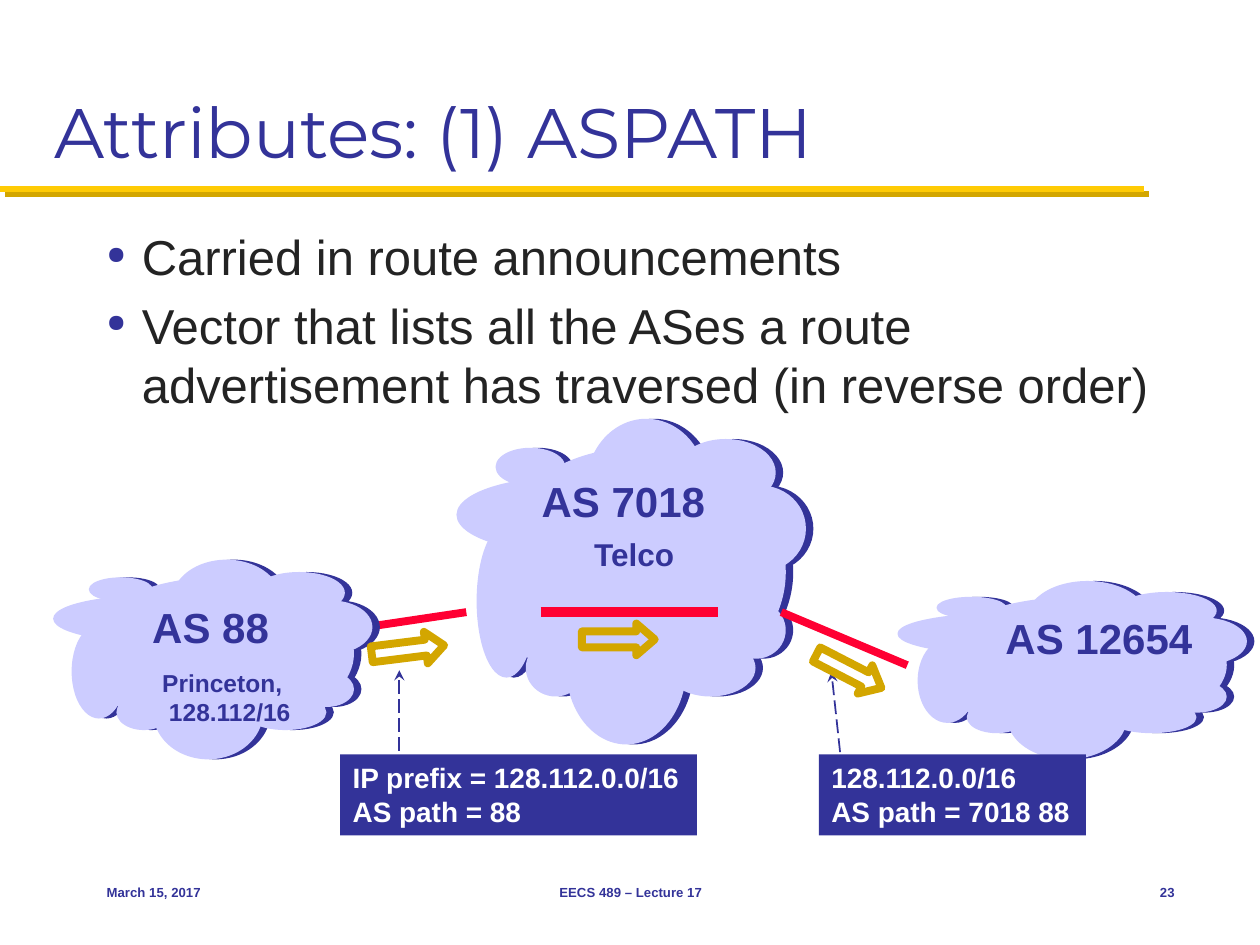
"""Build the slide on the ASPATH route attribute."""
from dataclasses import dataclass

from lxml.etree import SubElement
from pptx import Presentation
from pptx.dml.color import RGBColor
from pptx.enum.dml import MSO_LINE
from pptx.enum.shapes import MSO_CONNECTOR, MSO_SHAPE
from pptx.enum.text import MSO_ANCHOR, PP_ALIGN
from pptx.oxml.ns import qn
from pptx.util import Cm, Pt


@dataclass(frozen=True)
class Theme:
    """Colours, fonts and type sizes."""
    navy: str = "333399"
    lilac: str = "CCCCFF"
    gold: str = "FFCB05"
    ochre: str = "D3A600"
    red: str = "FF0033"
    ink: str = "232323"
    white: str = "FFFFFF"
    head: str = "Montserrat"
    sans: str = "Arial"
    title: float = 40
    body: float = 28
    name: float = 24
    owner: float = 18
    note: float = 16
    site: float = 14
    foot: float = 7.5


T = Theme()

TITLE = "Attributes: (1) ASPATH"
POINTS = [
    "Carried in route announcements",
    "Vector that lists all the ASes a route advertisement has traversed (in reverse order)",
]
GRID = (276, 257)
LOBES = [
    (24, 23, 236, 196), (31, 23, 54, 29), (174, 16, 78, 52), (103, 0, 94, 105),
    (0, 46, 173, 59), (87, 137, 94, 120), (206, 53, 70, 67), (16, 84, 46, 120),
    (214, 145, 46, 44), (55, 175, 46, 44), (166, 175, 70, 44),
]
SHADE = 0.15
MAIN = (9.22, 8.46, 7.01, 6.53)
SIDES = [(18.11, 11.73, 7.01, 3.56), (1.09, 11.3, 6.4, 3.99)]
WIRES = [
    ((15.75, 12.34), (18.29, 13.41), 4.5),
    ((6.45, 12.78), (9.4, 12.34), 4.5),
    ((10.9, 12.34), (14.48, 12.34), 6),
]
LABELS = [
    ("AS 7018", (10.67, 9.47, 3.84, 1.3), T.name),
    ("Telco", (11.73, 10.67, 2.39, 1.02), T.owner),
    ("AS 12654", (20.02, 12.22, 4.32, 1.3), T.name),
    ("AS 88", (2.82, 12.01, 2.87, 1.3), T.name),
    ("Princeton,\n 128.112/16", (3.02, 13.34, 3.12, 1.45), T.site),
]
NOTES = [
    (["128.112.0.0/16", "AS path = 7018 88"], (16.51, 15.21, 5.38, 1.63)),
    (["IP prefix = 128.112.0.0/16", "AS path = 88"], (6.86, 15.21, 7.19, 1.63)),
]
HINTS = [((16.76, 13.54), (16.94, 15.21)), ((8.05, 13.51), (8.05, 15.21))]
ARROWS = [(7.49, 12.78, -7.1), (11.73, 12.57, 0), (16.38, 13.21, 27.3)]
FOOTS = [
    ("March 15, 2017", (1.9, 17.35, 5.28, 1.27), PP_ALIGN.LEFT),
    ("EECS 489 – Lecture 17", (8.69, 17.35, 8.05, 1.27), PP_ALIGN.CENTER),
    ("23", (22.23, 17.35, 1.7, 1.27), PP_ALIGN.RIGHT),
]


def rgb(tint):
    """Turn a hex string into a colour."""
    return RGBColor.from_string(tint)


def span(box):
    """Turn centimetres into lengths."""
    return [Cm(n) for n in box]


def write(para, text, size, tint, font=T.sans, bold=False):
    """Add text to a paragraph, one run a line."""
    for i, part in enumerate(text.split("\n")):
        if i:
            para.add_line_break()
        run = para.add_run()
        run.text = part
        run.font.name, run.font.size, run.font.bold = font, Pt(size), bold
        run.font.color.rgb = rgb(tint)


def frame(shapes, box, wrap=False, anchor=MSO_ANCHOR.TOP):
    """Add a text box and return its text frame."""
    text = shapes.add_textbox(*span(box)).text_frame
    text.word_wrap, text.vertical_anchor = wrap, anchor
    return text


def solid(shapes, kind, box, tint, edge=False):
    """Add a filled shape, with an edge of the same colour if asked."""
    shape = shapes.add_shape(kind, *span(box))
    shape.shadow.inherit = False
    shape.fill.solid()
    shape.fill.fore_color.rgb = rgb(tint)
    if edge:
        shape.line.color.rgb, shape.line.width = rgb(tint), Pt(1)
    else:
        shape.line.fill.background()
    return shape


def link(shapes, start, end, tint, width):
    """Add a straight line and return it with its effect list."""
    line = shapes.add_connector(MSO_CONNECTOR.STRAIGHT, *span(start + end))
    line.line.color.rgb, line.line.width = rgb(tint), Pt(width)
    return line, SubElement(line._element.spPr, qn("a:effectLst"))


def cloud(shapes, box):
    """Add a cloud of ellipses over its own shade."""
    left, top, wide, high = box
    group = shapes.add_group_shape().shapes
    sx, sy = wide / GRID[0], high / GRID[1]
    for shift, tint in ((SHADE, T.navy), (0, T.lilac)):
        for x, y, w, h in LOBES:
            lobe = (left + shift + x * sx, top + y * sy, w * sx, h * sy)
            solid(group, MSO_SHAPE.OVAL, lobe, tint, edge=True)


def bullet(para):
    """Give a paragraph a small round bullet."""
    props = para._p.get_or_add_pPr()
    props.set("marL", str(Cm(0.71)))
    props.set("indent", str(-Cm(0.71)))
    SubElement(SubElement(props, qn("a:buClr")), qn("a:srgbClr"), val=T.navy)
    SubElement(props, qn("a:buSzPct"), val="50000")
    SubElement(props, qn("a:buChar"), char="●")


def header(shapes):
    """Add the rule, the title and the points."""
    glow = link(shapes, (0, 3.81), (23.06, 3.81), T.gold, 3.5)[1]
    drop = SubElement(glow, qn("a:outerShdw"), dist=str(Pt(4.2)), dir="2700000")
    SubElement(drop, qn("a:srgbClr"), val=T.ochre)
    text = frame(shapes, (0.84, 0.43, 23.7, 3.18), True, MSO_ANCHOR.BOTTOM)
    write(text.paragraphs[0], TITLE, T.title, T.navy, T.head)
    text = frame(shapes, (1.9, 4.45, 22.02, 12.27), True)
    for i, point in enumerate(POINTS):
        para = text.add_paragraph() if i else text.paragraphs[0]
        bullet(para)
        para.space_before = Pt(5.6 if i else 0)
        write(para, point, T.body, T.ink)


def diagram(shapes):
    """Add the clouds, wires, labels, notes and arrows."""
    cloud(shapes, MAIN)
    for start, end, width in WIRES:
        link(shapes, start, end, T.red, width)
    for box in SIDES:
        cloud(shapes, box)
    for label, box, size in LABELS:
        write(frame(shapes, box).paragraphs[0], label, size, T.navy, bold=True)
    for lines, box in NOTES:
        text = solid(shapes, MSO_SHAPE.RECTANGLE, box, T.navy).text_frame
        text.word_wrap, text.vertical_anchor = False, MSO_ANCHOR.TOP
        for i, row in enumerate(lines):
            para = text.add_paragraph() if i else text.paragraphs[0]
            para.alignment = PP_ALIGN.LEFT
            write(para, row, T.note, T.white, bold=True)
    for start, end in HINTS:
        line = link(shapes, start, end, T.navy, 1)[0].line
        line.dash_style = MSO_LINE.LONG_DASH
        SubElement(line._get_or_add_ln(), qn("a:headEnd"), type="stealth")
    for x, y, turn in ARROWS:
        box = (x, y, 1.47, 0.64)
        arrow = solid(shapes, MSO_SHAPE.RIGHT_ARROW, box, T.ochre)
        arrow.fill.background()
        arrow.line.color.rgb, arrow.line.width = rgb(T.ochre), Pt(4.5)
        arrow.adjustments[1] = 0.58
        arrow.rotation = turn


def footer(shapes):
    """Add the date, the course and the slide number."""
    for label, box, align in FOOTS:
        para = frame(shapes, box, True, MSO_ANCHOR.MIDDLE).paragraphs[0]
        para.alignment = align
        write(para, label, T.foot, T.navy, bold=True)


def main():
    """Build and save the slide."""
    deck = Presentation()
    deck.slide_width, deck.slide_height = Cm(25.4), Cm(19.05)
    shapes = deck.slides.add_slide(deck.slide_layouts[6]).shapes
    header(shapes)
    diagram(shapes)
    footer(shapes)
    deck.save("out.pptx")


if __name__ == "__main__":
    main()
